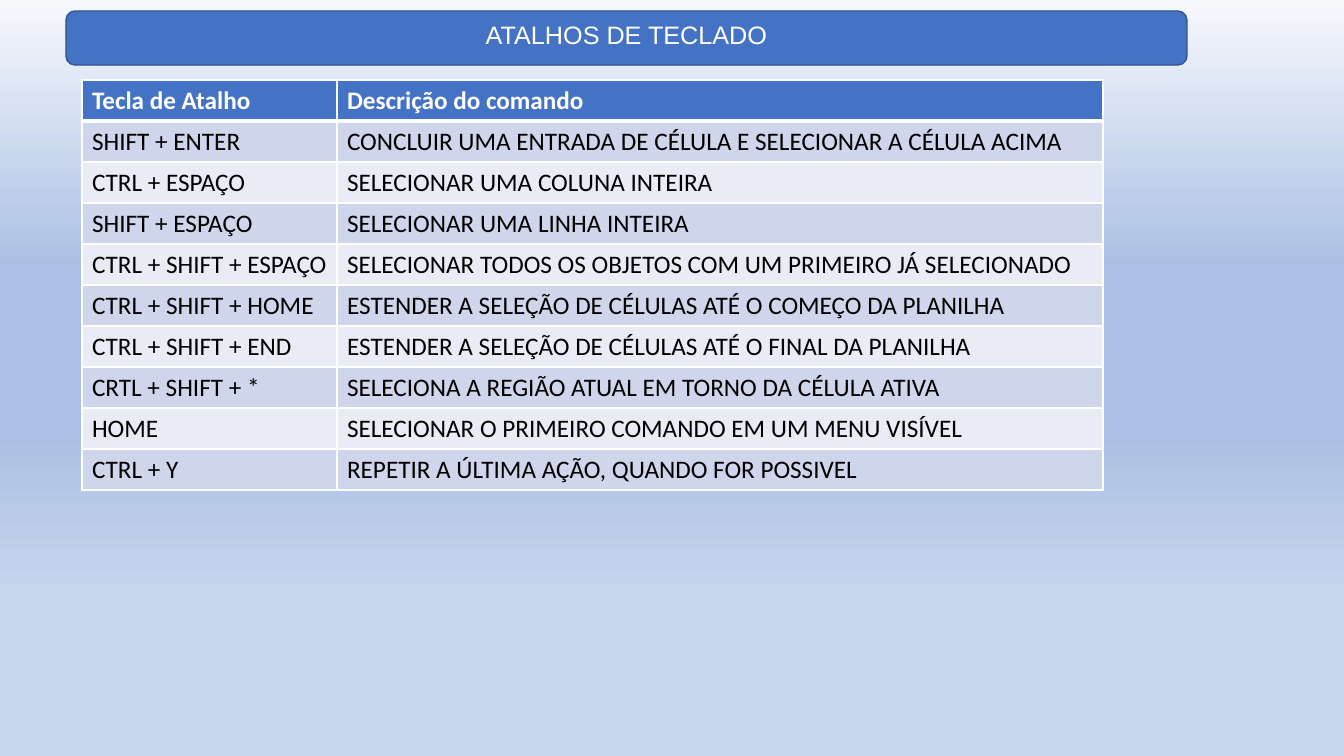
from lxml.etree import SubElement
from pptx import Presentation
from pptx.dml.color import RGBColor
from pptx.enum.shapes import MSO_SHAPE as Preset
from pptx.enum.text import MSO_ANCHOR as Anchor, PP_ALIGN as Align
from pptx.oxml.ns import qn
from pptx.util import Pt

TITLE = "ATALHOS DE TECLADO"
SHORTCUTS = [
    ("Tecla de Atalho", "Descrição do comando"),
    ("SHIFT + ENTER", "CONCLUIR UMA ENTRADA DE CÉLULA E SELECIONAR A CÉLULA ACIMA"),
    ("CTRL + ESPAÇO", "SELECIONAR UMA COLUNA INTEIRA"),
    ("SHIFT + ESPAÇO", "SELECIONAR UMA LINHA INTEIRA"),
    ("CTRL + SHIFT + ESPAÇO", "SELECIONAR TODOS OS OBJETOS COM UM PRIMEIRO JÁ SELECIONADO"),
    ("CTRL + SHIFT + HOME", "ESTENDER A SELEÇÃO DE CÉLULAS ATÉ O COMEÇO DA PLANILHA"),
    ("CTRL + SHIFT + END", "ESTENDER A SELEÇÃO DE CÉLULAS ATÉ O FINAL DA PLANILHA"),
    ("CRTL + SHIFT + *", "SELECIONA A REGIÃO ATUAL EM TORNO DA CÉLULA ATIVA"),
    ("HOME", "SELECIONAR O PRIMEIRO COMANDO EM UM MENU VISÍVEL"),
    ("CTRL + Y", "REPETIR A ÚLTIMA AÇÃO, QUANDO FOR POSSIVEL"),
]

BLUE = RGBColor(0x44, 0x72, 0xC4)
DARK_BLUE = RGBColor(0x32, 0x54, 0x91)
WHITE = RGBColor(0xFF, 0xFF, 0xFF)
BLACK = RGBColor(0x00, 0x00, 0x00)
BANDS = [RGBColor(0xE9, 0xEB, 0xF5), RGBColor(0xCF, 0xD5, 0xEA)]
BACKGROUND_STOPS = [
    (0, RGBColor(0xF6, 0xF8, 0xFC)),
    (35, RGBColor(0xAB, 0xC0, 0xE4)),
    (57, RGBColor(0xAB, 0xC0, 0xE4)),
    (79, RGBColor(0xC7, 0xD5, 0xED)),
]
TITLE_FORMAT = {"name": "Arial", "size": Pt(18), "bold": False}
CELL_FORMAT = {"name": "Calibri", "size": Pt(18)}

# Lengths in px
SLIDE_SIZE = (1344, 756)
BAR_BOX = (66, 11, 1121, 54)
TITLE_BOX = (66, 14, 1121, 40)
TABLE_LEFT, TABLE_TOP = 82, 80
COLUMN_WIDTHS = (255, 766)
ROW_HEIGHT = 41


def px(length):
    return round(length * 914400 / 100.8)


def set_font(paragraph, color, values):
    for name, value in values.items():
        setattr(paragraph.font, name, value)
    paragraph.font.color.rgb = color


def paint_background(slide):
    fill = slide.background.fill
    fill.gradient()
    fill.gradient_angle = 270
    stops = next(slide.element.iter(qn("a:gsLst")))
    stops.clear()
    for percent, color in BACKGROUND_STOPS:
        stop = SubElement(stops, qn("a:gs"), pos=str(percent * 1000))
        SubElement(stop, qn("a:srgbClr"), val=str(color))


def add_title(slide):
    bar = slide.shapes.add_shape(Preset.ROUNDED_RECTANGLE, *map(px, BAR_BOX))
    bar.shadow.inherit = False
    bar.fill.solid()
    bar.fill.fore_color.rgb = BLUE
    bar.line.color.rgb = DARK_BLUE
    bar.line.width = Pt(1)

    title = slide.shapes.title
    title.left, title.top, title.width, title.height = map(px, TITLE_BOX)
    bar.element.addnext(title.element)
    title.text_frame.text = TITLE
    title.text_frame.vertical_anchor = Anchor.TOP
    paragraph = title.text_frame.paragraphs[0]
    paragraph.alignment = Align.CENTER
    set_font(paragraph, WHITE, TITLE_FORMAT)


def set_borders(cell, widths):
    """Draw white borders; must run before the cell is filled."""
    properties = cell._tc.get_or_add_tcPr()
    for side, width in widths.items():
        line = SubElement(properties, qn(f"a:ln{side}"), w=str(Pt(width)))
        SubElement(SubElement(line, qn("a:solidFill")), qn("a:srgbClr"), val=str(WHITE))


def add_shortcut_table(slide):
    table = slide.shapes.add_table(
        len(SHORTCUTS), len(COLUMN_WIDTHS), px(TABLE_LEFT), px(TABLE_TOP),
        px(sum(COLUMN_WIDTHS)), px(ROW_HEIGHT * len(SHORTCUTS))).table
    for column, width in zip(table.columns, COLUMN_WIDTHS):
        column.width = px(width)
    for row_index, texts in enumerate(SHORTCUTS):
        table.rows[row_index].height = px(ROW_HEIGHT)
        header = row_index == 0
        for column_index, text in enumerate(texts):
            cell = table.cell(row_index, column_index)
            cell.text = text
            set_borders(cell, {"L": 1, "R": 1, "T": 3 if row_index == 1 else 1,
                               "B": 3 if header else 1})
            cell.fill.solid()
            cell.fill.fore_color.rgb = BLUE if header else BANDS[row_index % 2]
            set_font(cell.text_frame.paragraphs[0], WHITE if header else BLACK,
                     {**CELL_FORMAT, "bold": header})


def main():
    presentation = Presentation()
    presentation.slide_width, presentation.slide_height = map(px, SLIDE_SIZE)
    title_only = presentation.slide_layouts[5]
    slide = presentation.slides.add_slide(title_only)
    paint_background(slide)
    add_title(slide)
    add_shortcut_table(slide)
    presentation.save("out.pptx")


if __name__ == "__main__":
    main()
